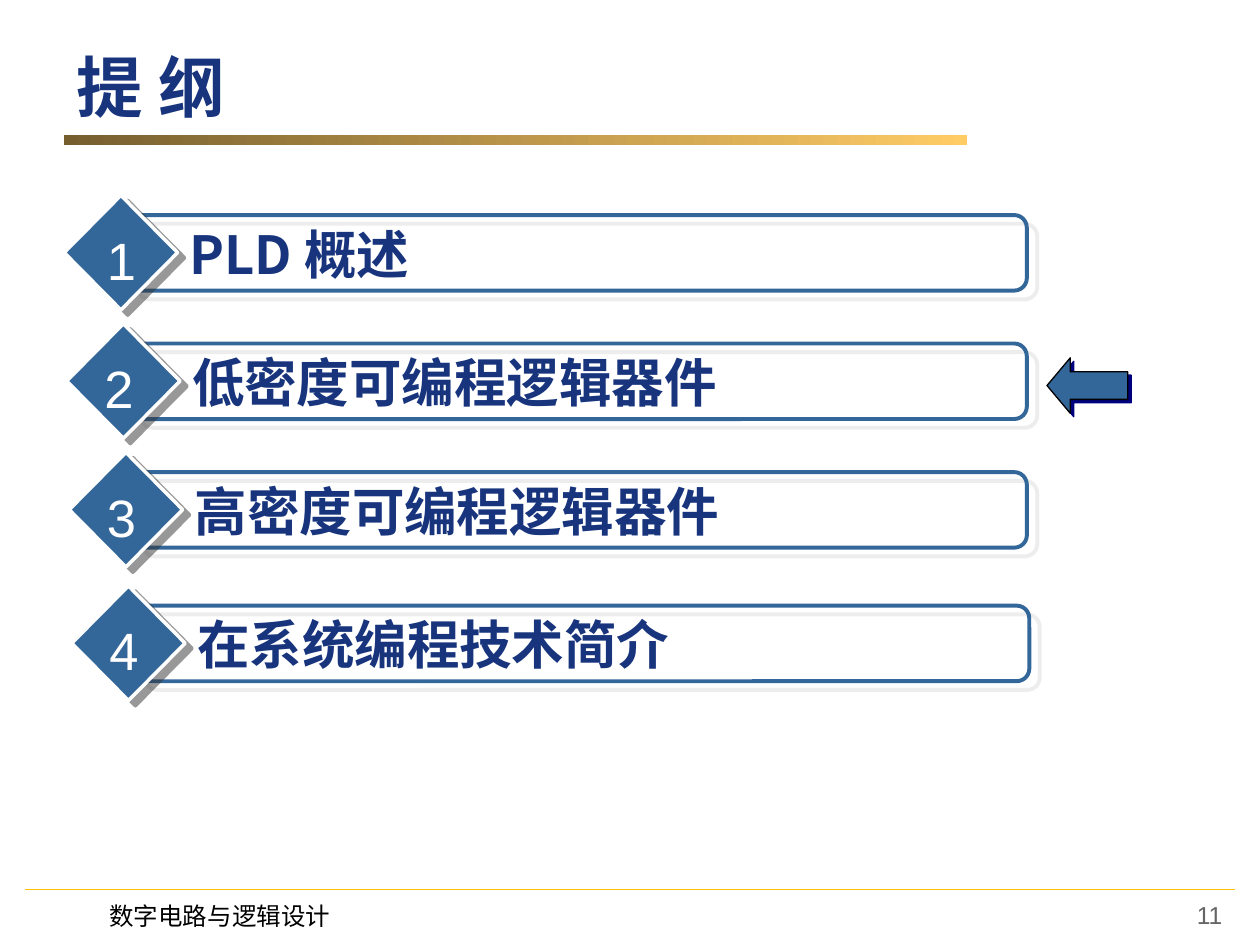
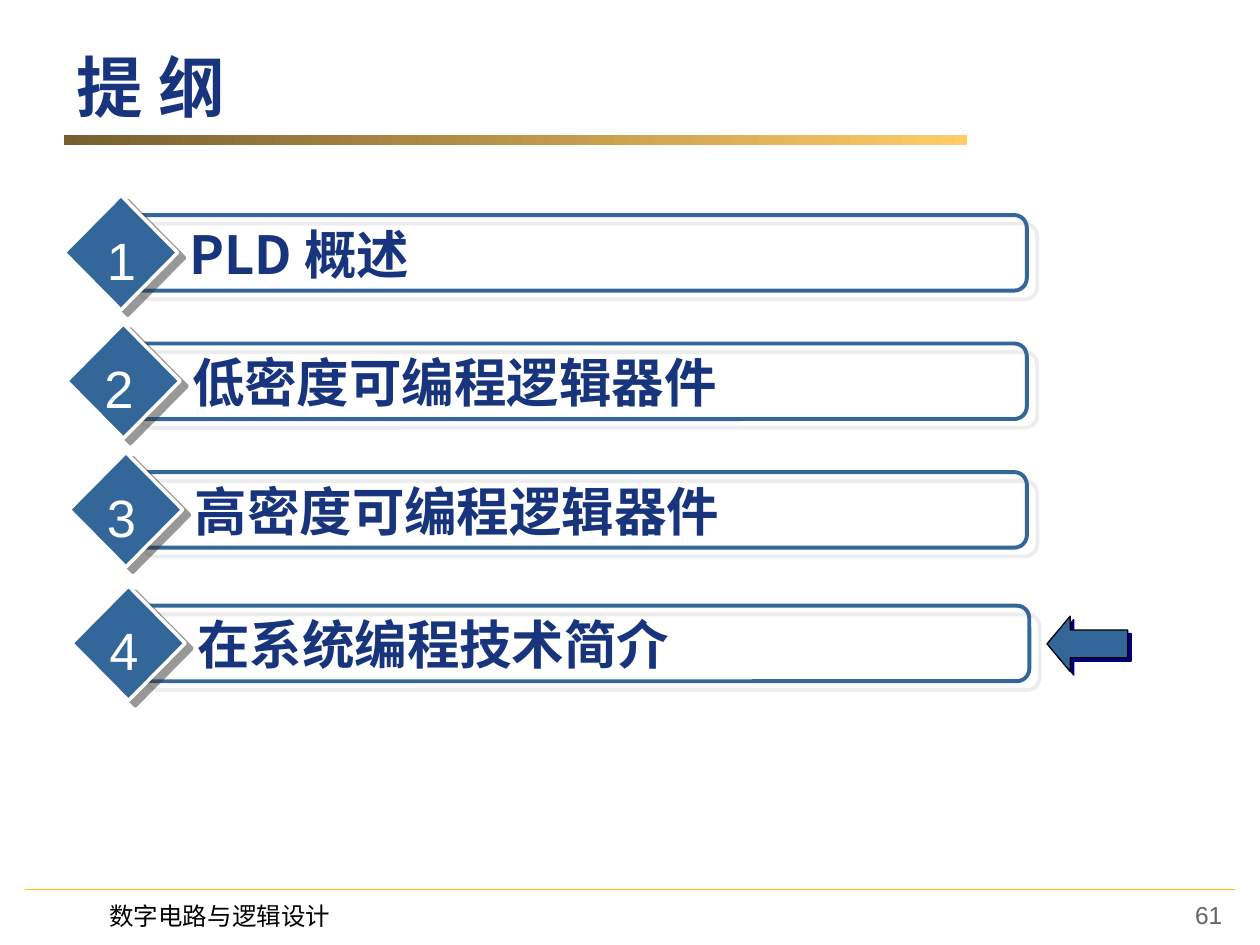
"""Build the two outline slides of a digital circuits course, each pointing at its current chapter."""
from lxml.etree import SubElement
from pptx import Presentation
from pptx.dml.color import RGBColor
from pptx.enum.shapes import MSO_CONNECTOR, MSO_SHAPE
from pptx.enum.text import MSO_ANCHOR, PP_ALIGN
from pptx.oxml.ns import qn
from pptx.util import Pt

NAVY = RGBColor(0x17, 0x34, 0x7D)
STEEL = RGBColor(0x33, 0x66, 0x99)
GOLD = RGBColor(0xFF, 0xC0, 0x00)
BAND_DARK = RGBColor(0x76, 0x5E, 0x2F)
BAND_LIGHT = RGBColor(0xFF, 0xCC, 0x66)
BAR_SHADOW = RGBColor(0xDD, 0xDD, 0xDD)
DIAMOND_SHADOW = RGBColor(0x33, 0x33, 0x33)
ARROW_SHADOW = RGBColor(0x00, 0x00, 0x7D)
GRAY = RGBColor(0x65, 0x65, 0x65)
BLACK = RGBColor(0, 0, 0)
WHITE = RGBColor(0xFF, 0xFF, 0xFF)
LATIN_FONT = "Arial"
CHINESE_FONT = "Noto Sans CJK SC"

CHAPTERS = [
    ("PLD 概述", 111.6, 54),
    ("低密度可编程逻辑器件", 185, 52.6),
    ("高密度可编程逻辑器件", 258.5, 54),
    ("在系统编程技术简介", 334.8, 55.4),
]
SLIDES = [("11", 204.5), ("61", 352.1)]
BAR_RIGHT = 586.8
BAR_MIN_WIDTH = 511.2


def write_text(shape, text, size, color, font_name=CHINESE_FONT, bold=False,
               align=PP_ALIGN.LEFT, anchor=MSO_ANCHOR.TOP, margin_left=7.2):
    frame = shape.text_frame
    frame.word_wrap = True
    frame.vertical_anchor = anchor
    frame.margin_left = Pt(margin_left)
    paragraph = frame.paragraphs[0]
    paragraph.alignment = align
    run = paragraph.add_run()
    run.text = text
    run.font.size = Pt(size)
    run.font.bold = bold
    run.font.color.rgb = color
    run.font.name = font_name
    SubElement(run.font._element if hasattr(run.font, "_element") else run._r.get_or_add_rPr(),
               qn("a:ea"), typeface=font_name)


def cast_shadow(shape, color, opacity, distance, angle):
    shape.shadow.inherit = False
    effects = shape.element.spPr.find(qn("a:effectLst"))
    shadow = SubElement(effects, qn("a:outerShdw"), dist=str(Pt(distance)),
                        dir=str(angle * 60000), algn="ctr", rotWithShape="0")
    tint = SubElement(shadow, qn("a:srgbClr"), val=str(color))
    SubElement(tint, qn("a:alpha"), val=str(opacity * 1000))


presentation = Presentation()
presentation.slide_width = Pt(720)
presentation.slide_height = Pt(540)

for page_number, arrow_top in SLIDES:
    slide = presentation.slides.add_slide(presentation.slide_layouts[5])
    shapes = slide.shapes

    footer_line = shapes.add_connector(MSO_CONNECTOR.STRAIGHT, Pt(14.4), Pt(508.3), Pt(705.6), Pt(508.3))
    footer_line.line.color.rgb = GOLD
    footer_line.line.width = Pt(0.75)
    SubElement(footer_line.element.spPr, qn("a:effectLst"))

    title_band = shapes.add_shape(MSO_SHAPE.RECTANGLE, Pt(36.7), Pt(77), Pt(516.2), Pt(5.8))
    title_band.shadow.inherit = False
    title_band.line.fill.background()
    title_band.fill.gradient()
    title_band.fill.gradient_angle = 0
    for stop, position, color in zip(title_band.fill.gradient_stops, (0, 1), (BAND_DARK, BAND_LIGHT)):
        stop.position = position
        stop.color.rgb = color

    title = shapes.title
    title.left, title.top, title.width, title.height = Pt(36.7), Pt(21.6), Pt(646.6), Pt(55.4)
    write_text(title, "提 纲", size=38, color=NAVY, bold=True, anchor=MSO_ANCHOR.MIDDLE)

    for index, (chapter, top, number_left) in enumerate(CHAPTERS):
        left = 36.7 + 1.44 * index
        bar_left = left + 36
        bar_width = max(BAR_RIGHT - bar_left, BAR_MIN_WIDTH)
        bar = shapes.add_shape(MSO_SHAPE.ROUNDED_RECTANGLE, Pt(bar_left), Pt(top + 11.3),
                               Pt(bar_width), Pt(43.2))
        bar.fill.background()
        bar.line.color.rgb = STEEL
        bar.line.width = Pt(2.25)
        cast_shadow(bar, BAR_SHADOW, opacity=50, distance=7.8, angle=40)

        label = shapes.add_textbox(Pt(left + 57.6), Pt(top + 11.5), Pt(491), Pt(43.2))
        write_text(label, chapter, size=30, color=NAVY, bold=True, margin_left=14)

        diamond = shapes.add_shape(MSO_SHAPE.DIAMOND, Pt(left), Pt(top), Pt(64.8), Pt(65.5))
        diamond.fill.solid()
        diamond.fill.fore_color.rgb = STEEL
        diamond.line.color.rgb = WHITE
        diamond.line.width = Pt(2)
        cast_shadow(diamond, DIAMOND_SHADOW, opacity=50, distance=5, angle=37)

        number = shapes.add_textbox(Pt(number_left), Pt(top + 15), Pt(33.8), Pt(43.9))
        write_text(number, str(index + 1), size=30, color=WHITE, font_name=LATIN_FONT)

    arrow = shapes.add_shape(MSO_SHAPE.LEFT_ARROW, Pt(598.3), Pt(arrow_top), Pt(46.1), Pt(31.7))
    arrow.adjustments[1] = 0.42
    arrow.fill.solid()
    arrow.fill.fore_color.rgb = STEEL
    arrow.line.color.rgb = BLACK
    arrow.line.width = Pt(0.75)
    cast_shadow(arrow, ARROW_SHADOW, opacity=100, distance=2.8, angle=45)

    course = shapes.add_textbox(Pt(55.4), Pt(511.2), Pt(150.5), Pt(24.5))
    write_text(course, "数字电路与逻辑设计", size=14, color=BLACK)
    page = shapes.add_textbox(Pt(537.8), Pt(510.5), Pt(167.8), Pt(28))
    write_text(page, page_number, size=14, color=GRAY, font_name=LATIN_FONT, align=PP_ALIGN.RIGHT)

presentation.save("out.pptx")
